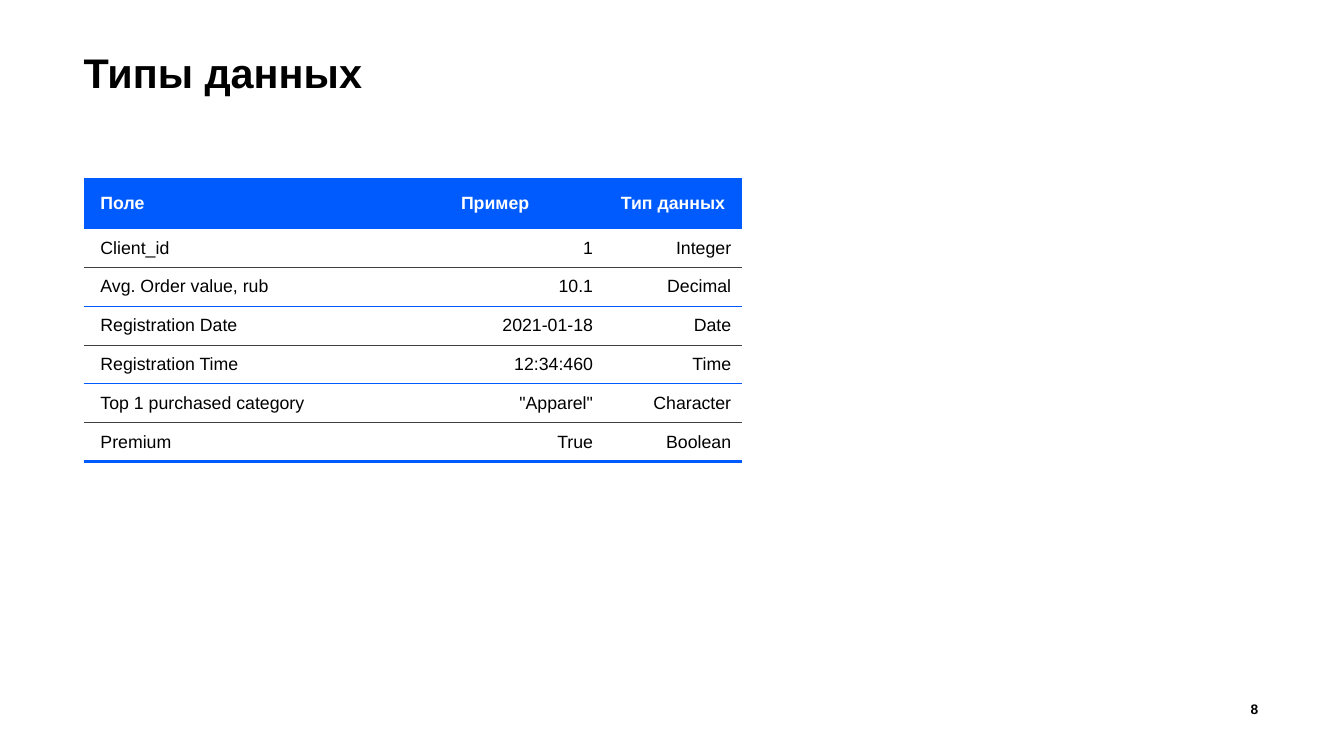
from lxml.etree import SubElement
from pptx import Presentation
from pptx.dml.color import RGBColor
from pptx.enum.text import MSO_ANCHOR as Anchor, PP_ALIGN as Align
from pptx.oxml.ns import qn
from pptx.util import Cm, Pt

BLUE, GREY, BLACK, WHITE = "005BFF", "404040", "000000", "FFFFFF"
NO_STYLE = "{2D5ABB26-0587-4C30-8999-92F81FD0307C}"
LEFT = 3
COLUMN_WIDTHS = (12.92, 5.73, 4.95)
HEADER_HEIGHT, ROW_HEIGHT = 1.81, 1.39
HEADER = ("Поле", "Пример", "Тип данных")
FIELDS = (
    ("Client_id", "1", "Integer"),
    ("Avg. Order value, rub", "10.1", "Decimal"),
    ("Registration Date", "2021-01-18", "Date"),
    ("Registration Time", "12:34:460", "Time"),
    ("Top 1 purchased category", '"Apparel"', "Character"),
    ("Premium", "True", "Boolean"),
)


def rgb(colour):
    return RGBColor.from_string(colour)


def write(frame, text, size=18, bold=False, colour=BLACK, align=Align.LEFT,
          line_spacing=1.0):
    paragraph = frame.paragraphs[0]
    paragraph.alignment = align
    paragraph.line_spacing = line_spacing
    run = paragraph.add_run()
    run.text = text
    font = run.font
    font.name, font.size, font.bold = "Arial", Pt(size), bold
    font.color.rgb = rgb(colour)


def set_insets(holder, left, top, right, bottom):
    """Set the margins of a text frame or table cell, in centimetres."""
    holder.margin_left, holder.margin_top = Cm(left), Cm(top)
    holder.margin_right, holder.margin_bottom = Cm(right), Cm(bottom)


def add_bottom_border(cell, colour, width):
    """Draw the bottom border; call before the cell is filled."""
    line = SubElement(cell._tc.get_or_add_tcPr(), qn("a:lnB"), w=str(Pt(width)))
    fill = SubElement(line, qn("a:solidFill"))
    SubElement(fill, qn("a:srgbClr"), val=colour)


def add_title(slide, text):
    title = slide.shapes.title
    title.left, title.top = Cm(LEFT), Cm(1.6)
    title.width, title.height = Cm(42.16), Cm(3.15)
    frame = title.text_frame
    frame.word_wrap = True
    frame.vertical_anchor = Anchor.TOP
    set_insets(frame, 0, 0.3, 0, 0)
    write(frame, text, size=42, bold=True, line_spacing=0.9)


def add_page_number(slide, number):
    box = slide.shapes.add_textbox(Cm(42.65), Cm(24.92), Cm(2.54), Cm(0.94))
    frame = box.text_frame
    frame.word_wrap = True
    frame.vertical_anchor = Anchor.BOTTOM
    set_insets(frame, 0.1, 0, 0.1, 0.15)
    write(frame, number, size=14, bold=True, align=Align.RIGHT)


def fill_cell(cell, text, column, is_header):
    cell.vertical_anchor = Anchor.MIDDLE
    set_insets(cell, 0.6, 0.13, 0.4 if column else 1, 0.13)
    if is_header:
        cell.fill.solid()
        cell.fill.fore_color.rgb = rgb(BLUE)
        write(cell.text_frame, text, bold=True, colour=WHITE)
    else:
        cell.fill.background()
        write(cell.text_frame, text, align=Align.RIGHT if column else Align.LEFT)


def add_types_table(slide):
    rows = (HEADER,) + FIELDS
    height = HEADER_HEIGHT + ROW_HEIGHT * len(FIELDS)
    frame = slide.shapes.add_table(len(rows), len(HEADER), Cm(LEFT), Cm(6.38),
                                   Cm(sum(COLUMN_WIDTHS)), Cm(height))
    table = frame.table
    table.horz_banding = False
    table._tbl.tblPr.find(qn("a:tableStyleId")).text = NO_STYLE
    for column, width in zip(table.columns, COLUMN_WIDTHS):
        column.width = Cm(width)
    for r, row in enumerate(rows):
        table.rows[r].height = Cm(ROW_HEIGHT if r else HEADER_HEIGHT)
        for c, text in enumerate(row):
            cell = table.cell(r, c)
            if r == len(FIELDS):
                add_bottom_border(cell, BLUE, 3)
            elif r:
                add_bottom_border(cell, GREY if r % 2 else BLUE, 1)
            fill_cell(cell, text, c, is_header=r == 0)


def main():
    deck = Presentation()
    deck.slide_width, deck.slide_height = Cm(48.16), Cm(27.08)
    slide = deck.slides.add_slide(deck.slide_layouts[5])
    add_title(slide, "Типы данных")
    add_page_number(slide, "8")
    add_types_table(slide)
    deck.save("out.pptx")


if __name__ == "__main__":
    main()
